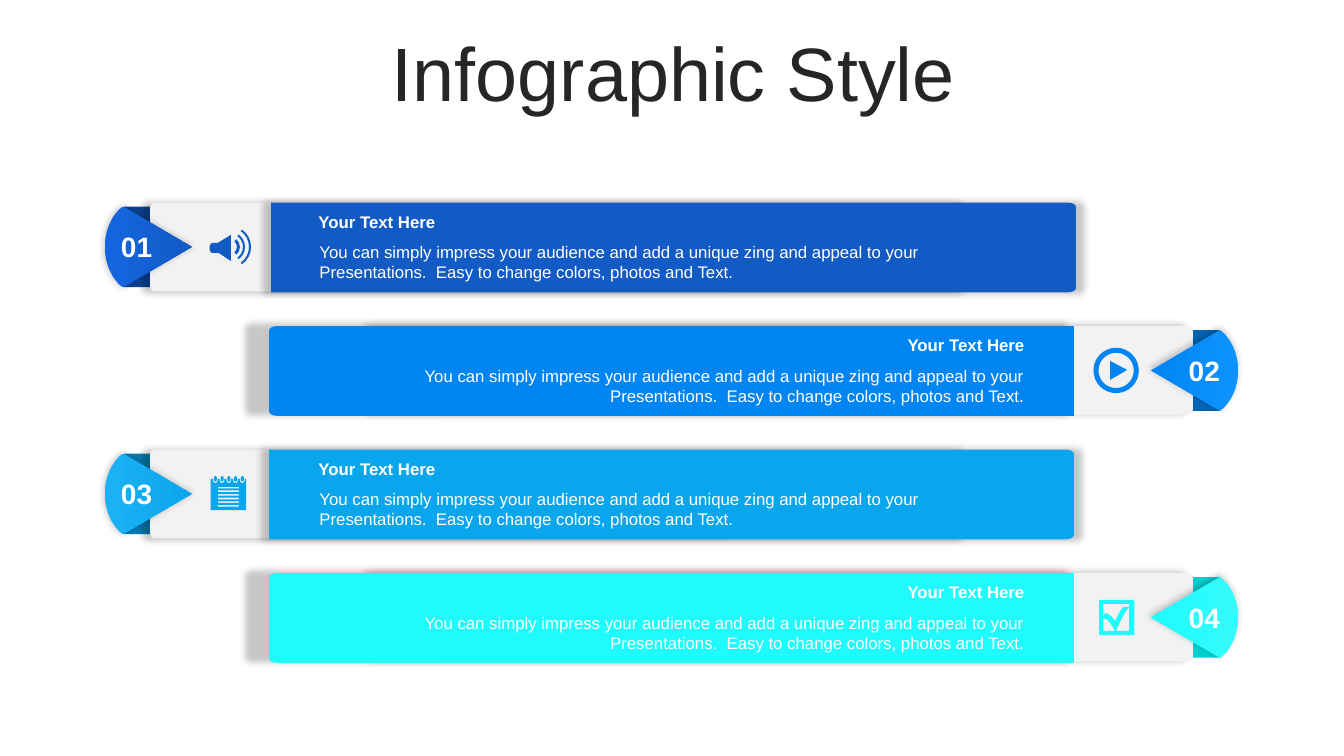
import math

import lxml.etree
import pptx
import pptx.dml.color
import pptx.enum.shapes
import pptx.enum.text
import pptx.oxml
import pptx.oxml.ns
import pptx.util

Inches = pptx.util.Inches
qn = pptx.oxml.ns.qn
SHAPES = pptx.enum.shapes.MSO_SHAPE
ALIGN = pptx.enum.text.PP_ALIGN
ANCHOR = pptx.enum.text.MSO_ANCHOR

MIRROR_WIDTH = 13.32  # left and right rows mirror each other within this width
FIRST_TOP, ROW_PITCH = 2.01, 1.225
HEADING = "Your Text Here"
BODY = ("You can simply impress your audience and add a unique zing and appeal to your "
        "Presentations.  Easy to change colors, photos and Text.")


def color(value):
    return pptx.dml.color.RGBColor.from_string(value)


# Outlines in inches: a pair is a corner, six numbers are a Bézier curve
def arc(x, y, radius_x, radius_y, start, end, pieces=1):
    step = math.radians(end - start) / pieces
    pull = 4 / 3 * math.tan(step / 4)

    def at(angle, tangent=0):
        cosine, sine = math.cos(angle), math.sin(angle)
        return (x + radius_x * (cosine - tangent * sine),
                y + radius_y * (sine + tangent * cosine))

    angles = [math.radians(start) + step * i for i in range(pieces + 1)]
    return [at(angles[0])] + [at(a, pull) + at(b, -pull) + at(b)
                              for a, b in zip(angles, angles[1:])]


def box(left, top, right, bottom):
    return [(left, top), (right, top), (right, bottom), (left, bottom)]


def speaker_icon():
    horn = [(2.29, 2.33), (2.29, 2.59), (2.17, 2.51), (2.11, 2.51),
            (2.1, 2.51, 2.08, 2.5, 2.08, 2.48), (2.08, 2.44),
            (2.08, 2.42, 2.1, 2.41, 2.11, 2.41), (2.16, 2.41)]
    waves = [arc(2.28, 2.45, outer, outer, -angle, angle, 2)
             + arc(2.28, 2.45, inner, inner, angle, -angle, 2)
             for inner, outer, angle in ((0.07, 0.1, 50), (0.13, 0.15, 55), (0.19, 0.21, 55))]
    return [horn] + waves


def play_icon():
    rings = [arc(11.07, 3.675, radius, radius, 0, 360, 4) for radius in (0.175, 0.225)]
    return [[(11.01, 3.58), (11.18, 3.67), (11.01, 3.77)]] + rings


def notepad_icon():
    contours = [box(2.09, 4.75, 2.44, 5.06)]
    for i in range(6):
        top = 4.83 + 0.036 * i
        contours.append(box(2.16, top, 2.37, top + 0.016))
    for i in range(5):
        x = 2.135 + 0.067 * i
        contours.append([(x - 0.023, 4.75), (x + 0.023, 4.75)]
                        + arc(x, 4.77, 0.023, 0.023, 0, 180, 2))
        contours.append(arc(x, 4.735, 0.015, 0.015, 180, 360, 2)
                        + arc(x, 4.765, 0.015, 0.015, 0, 180, 2))
    return contours


def check_icon():
    hole_and_tick = [(10.94, 5.99), (10.94, 6.26), (11.06, 6.26),
                     (11.03, 6.21, 11, 6.14, 10.94, 6.13), (10.96, 6.08),
                     (11.02, 6.1, 11.03, 6.12, 11.06, 6.16),
                     (11.09, 6.1, 11.1, 6.07, 11.14, 6.02), (11.2, 6.02),
                     (11.15, 6.08, 11.1, 6.18, 11.07, 6.26), (11.2, 6.26), (11.2, 5.99)]
    return [hole_and_tick, box(10.9, 5.95, 11.25, 6.3)]


class InfographicSlide:
    font = "Arial"
    white = "FFFFFF"
    panel = "F2F2F2"
    title_color = "262626"

    def __init__(self, presentation):
        self.slide = presentation.slides.add_slide(presentation.slide_layouts[6])

    def finish(self, shape, fill, turned=False, shadow=False):
        """Fill with one colour, or with a pair as a left-to-right gradient."""
        if isinstance(fill, tuple):
            shape.fill.gradient()
            shape.fill.gradient_angle = 0
            for stop, position, value in zip(shape.fill.gradient_stops, (0, 1), fill):
                stop.position = position
                stop.color.rgb = color(value)
        else:
            shape.fill.solid()
            shape.fill.fore_color.rgb = color(fill)
        shape.line.fill.background()
        shape.rotation = 180 if turned else 0
        shape.shadow.inherit = False
        if shadow:
            effects = shape._element.spPr.find(qn("a:effectLst"))
            effects.append(pptx.oxml.parse_xml(
                f'<a:outerShdw {pptx.oxml.ns.nsdecls("a")} blurRad="63500" sx="102000" '
                'sy="102000" algn="ctr" rotWithShape="0"><a:srgbClr val="000000">'
                '<a:alpha val="22000"/></a:srgbClr></a:outerShdw>'))

    def preset(self, kind, left, top, width, height, fill, **finish):
        shape = self.slide.shapes.add_shape(
            kind, Inches(left), Inches(top), Inches(width), Inches(height))
        if kind == SHAPES.ROUNDED_RECTANGLE:
            shape.adjustments[0] = 0.053
        self.finish(shape, fill, **finish)

    def outline(self, contours, fill, left=None, **finish):
        builder = None
        for contour in contours:
            points = [(Inches(item[i]), Inches(item[i + 1]))
                      for item in contour for i in range(0, len(item), 2)]
            if builder is None:
                builder = self.slide.shapes.build_freeform(*points[0], scale=1.0)
            else:
                builder.move_to(*points[0])
            builder.add_line_segments(points[1:], close=True)
        shape = builder.convert_to_shape()
        # Join each curve's three points into one Bézier segment
        segments = iter(list(shape._element.iter(qn("a:lnTo"))))
        for item in (item for contour in contours for item in contour[1:]):
            parts = [next(segments) for _ in range(len(item) // 2)]
            if len(parts) == 3:
                curve = lxml.etree.Element(qn("a:cubicBezTo"))
                parts[0].addprevious(curve)
                for part in parts:
                    curve.append(part[0])
                    part.getparent().remove(part)
        if left is not None:
            shape.left = Inches(left)
        self.finish(shape, fill, **finish)

    def text(self, words, left, top, width, height, size, value=None, bold=False,
             align=ALIGN.LEFT, anchor=ANCHOR.TOP, side=0.1, spacing=1.0):
        shape = self.slide.shapes.add_textbox(
            Inches(left), Inches(top), Inches(width), Inches(height))
        frame = shape.text_frame
        frame.word_wrap = True
        frame.vertical_anchor = anchor
        frame.margin_left = frame.margin_right = Inches(side)
        paragraph = frame.paragraphs[0]
        paragraph.text = words
        paragraph.alignment = align
        paragraph.line_spacing = spacing
        paragraph.font.name = self.font
        paragraph.font.size = pptx.util.Pt(size)
        paragraph.font.bold = bold
        paragraph.font.color.rgb = color(value or self.white)

    def row(self, index, base, light, dark, icon, bar_left=2.67):
        top = FIRST_TOP + ROW_PITCH * index
        middle = top + 0.44
        turned = index % 2 == 1

        def place(left, width):
            return MIRROR_WIDTH - left - width if turned else left

        # Folded tab and pale panel
        self.preset(SHAPES.RECTANGLE, place(1.23, 0.79), top + 0.04, 0.79, 0.8, dark,
                    turned=turned)
        self.preset(SHAPES.ROUNDED_RECTANGLE, place(1.49, 7.97), top, 7.97, 0.88, self.panel,
                    turned=turned, shadow=True)
        # Pointed badge
        badge = [(1.9, middle), (1.22, middle + 0.4),
                 (1.11, middle + 0.32, 1.04, middle + 0.17, 1.04, middle),
                 (1.04, middle - 0.17, 1.11, middle - 0.32, 1.22, middle - 0.4)]
        self.outline([badge], (light, base), place(1.04, 0.86), turned=turned, shadow=True)
        # Coloured bar, rounded at its outer end
        right = bar_left + 7.98
        bar = ([(bar_left, top)]
               + arc(right - 0.08, top + 0.04, 0.08, 0.04, -90, 0)
               + arc(right - 0.08, top + 0.85, 0.08, 0.04, 0, 90)
               + [(bar_left, top + 0.89)])
        self.outline([bar], base, place(bar_left, 7.98), turned=turned, shadow=True)
        # Number, texts and icon
        self.text(f"{index + 1:02d}", place(1.08, 0.57), top + 0.22, 0.57, 0.44, 20,
                  bold=True, side=0.12)
        align = ALIGN.RIGHT if turned else ALIGN.LEFT
        self.text(BODY, 3.07, top + 0.34, 7.19, 0.5, 12, align=align)
        self.text(HEADING, 3.06, top + 0.04, 7.2, 0.3, 12, bold=True, align=align)
        self.outline(icon, base)


def main():
    presentation = pptx.Presentation()
    presentation.slide_width = Inches(13.33)
    presentation.slide_height = Inches(7.5)
    page = InfographicSlide(presentation)

    # Title
    page.text("Infographic Style", 0.35, 0.37, 12.66, 0.79, 54, page.title_color,
              align=ALIGN.CENTER, anchor=ANCHOR.MIDDLE, spacing=0.9)

    # Rows: base, light and dark colour, icon
    page.row(0, "125AC4", "1466DF", "0D4393", speaker_icon(), bar_left=2.69)
    page.row(1, "0085F2", "0E92FF", "0064B5", play_icon())
    page.row(2, "0AA6ED", "1CB1F5", "087CB2", notepad_icon())
    page.row(3, "1FFBFD", "35FBFD", "02D1D3", check_icon())

    presentation.save("out.pptx")


if __name__ == "__main__":
    main()
